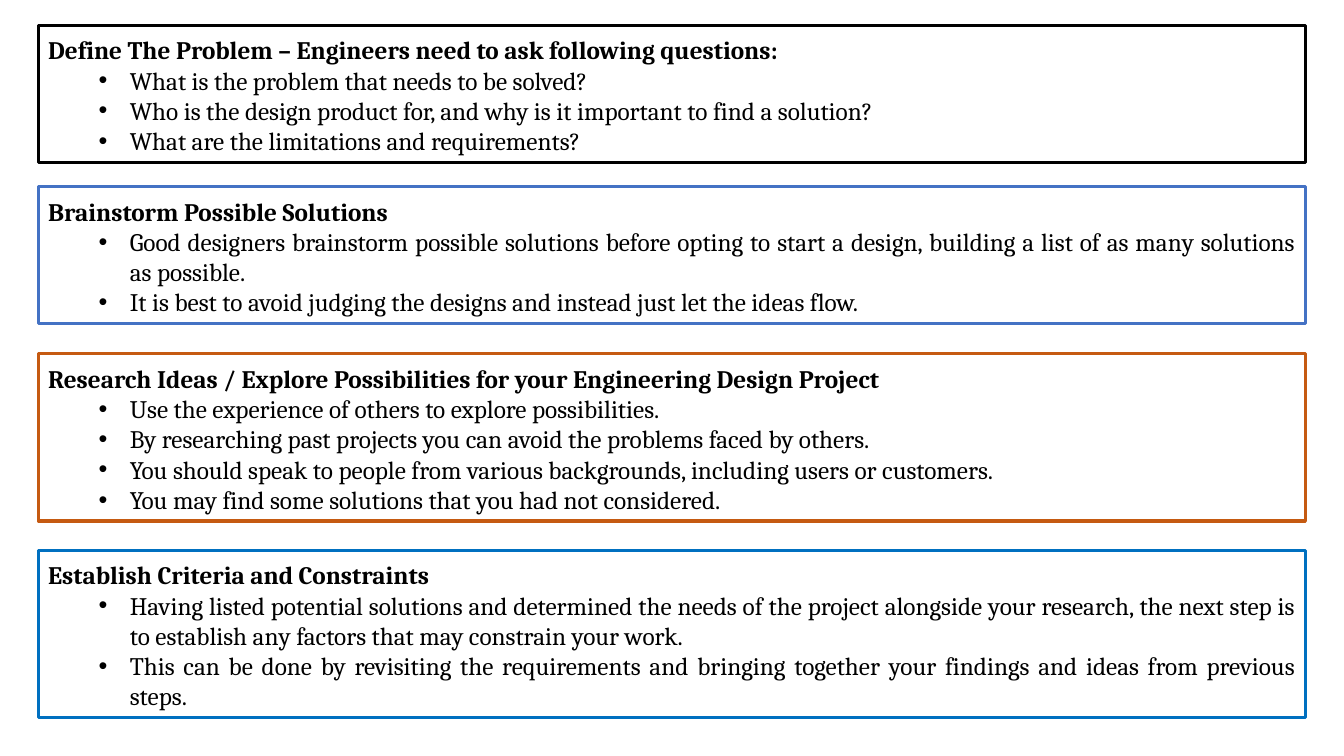
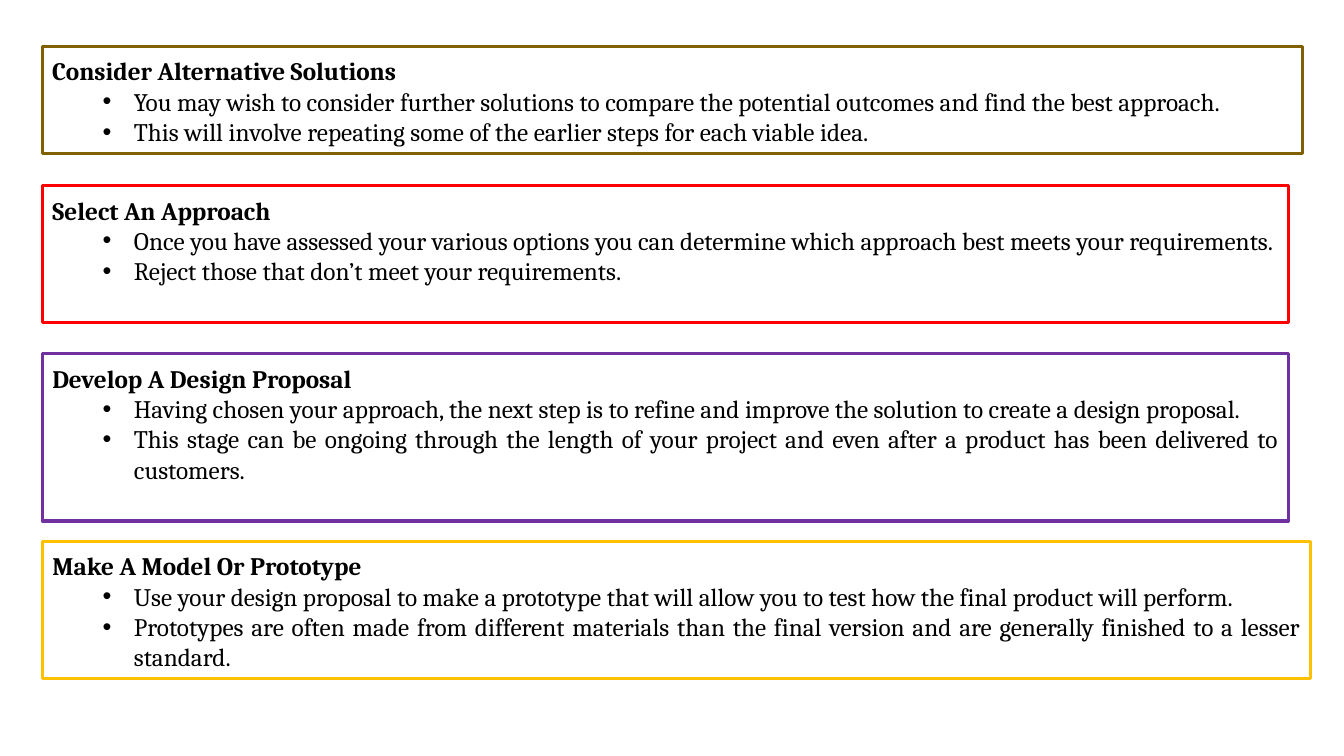
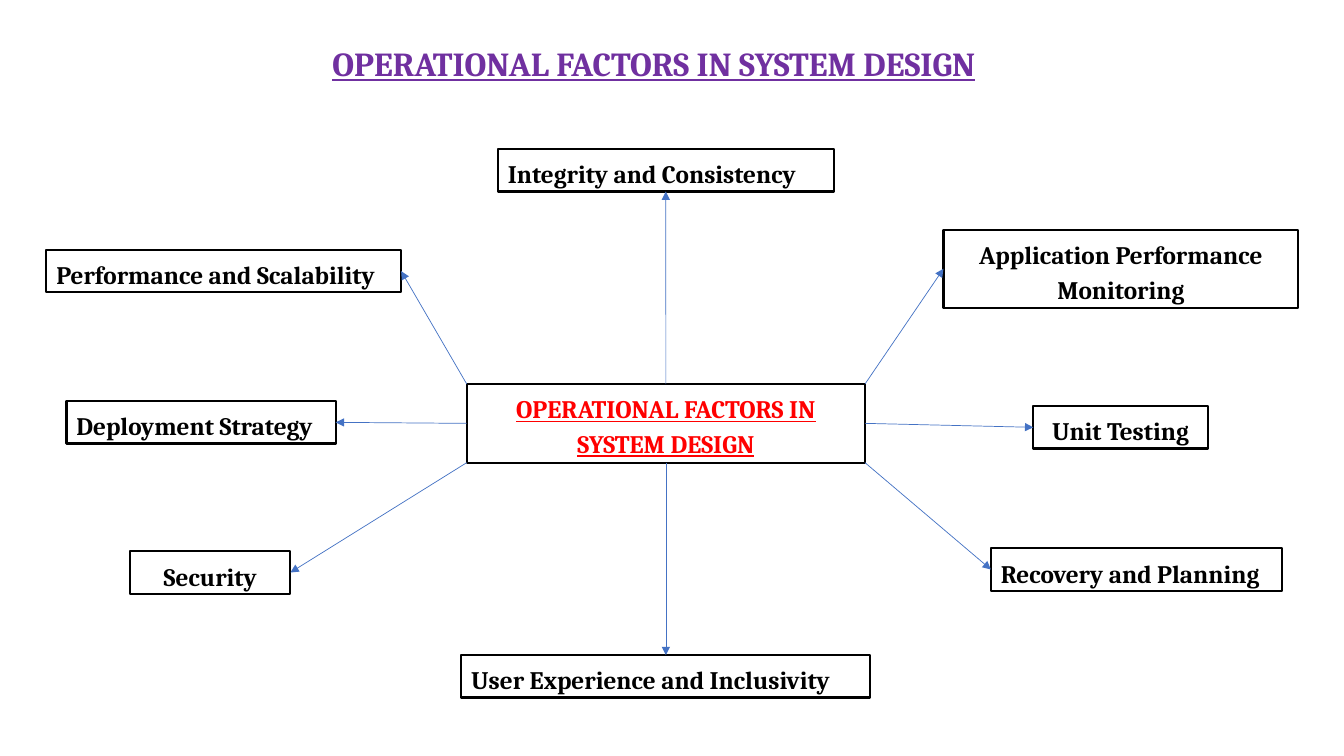
from lxml import etree
from pptx import Presentation
from pptx.dml.color import RGBColor
from pptx.enum.shapes import MSO_CONNECTOR, MSO_SHAPE
from pptx.enum.text import MSO_ANCHOR, MSO_AUTO_SIZE, PP_ALIGN
from pptx.oxml.ns import qn
from pptx.util import Inches, Pt

RECT, STRAIGHT = MSO_SHAPE.RECTANGLE, MSO_CONNECTOR.STRAIGHT
TOP, GROW = MSO_ANCHOR.TOP, MSO_AUTO_SIZE.SHAPE_TO_FIT_TEXT
CENTER, JUSTIFY = PP_ALIGN.CENTER, PP_ALIGN.JUSTIFY

COLORS = {
    "black": "000000", "blue": "4472C4", "orange": "C55A11",
    "azure": "0070C0", "olive": "806000", "red": "FF0000",
    "purple": "7030A0", "gold": "FFC000",
}
HEADING = {"line_spacing": 1.15, "space_before": Pt(10), "alignment": JUSTIFY}
BULLET = {"level": 1, "alignment": JUSTIFY}
LABEL = {"line_spacing": 1.15, "space_before": Pt(12.5), "space_after": Pt(6.2)}

# Positions and sizes are percentages of the slide's width and height.
# Step: top, width, text lines, colour, heading, bullets
DEFINE_LEFT = 2.85
DEFINE_STEPS = [
    (3.33, 94.28, 4, "black",
     "Define The Problem – Engineers need to ask following questions:",
     ["What is the problem that needs to be solved?",
      "Who is the design product for, and why is it important to find a solution?",
      "What are the limitations and requirements?"]),
    (24.67, 94.28, 4, "blue", "Brainstorm Possible Solutions",
     ["Good designers brainstorm possible solutions before opting to start a design, "
      "building a list of as many solutions as possible.",
      "It is best to avoid judging the designs and instead just let the ideas flow."]),
    (46.8, 94.28, 5, "orange",
     "Research Ideas / Explore Possibilities for your Engineering Design Project",
     ["Use the experience of others to explore possibilities.",
      "By researching past projects you can avoid the problems faced by others.",
      "You should speak to people from various backgrounds, including users or customers.",
      "You may find some solutions that you had not considered."]),
    (72.8, 94.28, 5, "azure", "Establish Criteria and Constraints",
     ["Having listed potential solutions and determined the needs of the project "
      "alongside your research, the next step is to establish any factors that may "
      "constrain your work.",
      "This can be done by revisiting the requirements and bringing together your "
      "findings and ideas from previous steps."]),
]
DEVELOP_LEFT = 3.15
DEVELOP_STEPS = [
    (6.13, 93.75, 3, "olive", "Consider Alternative Solutions",
     ["You may wish to consider further solutions to compare the potential outcomes "
      "and find the best approach.",
      "This will involve repeating some of the earlier steps for each viable idea."]),
    (24.53, 92.7, 4, "red", "Select An Approach",
     ["Once you have assessed your various options you can determine which approach "
      "best meets your requirements.",
      "Reject those that don’t meet your requirements."]),
    (46.8, 92.7, 5, "purple", "Develop A Design Proposal",
     ["Having chosen your approach, the next step is to refine and improve the "
      "solution to create a design proposal.",
      "This stage can be ongoing through the length of your project and even after a "
      "product has been delivered to customers."]),
    (71.6, 94.35, 4, "gold", "Make A Model Or Prototype",
     ["Use your design proposal to make a prototype that will allow you to test how "
      "the final product will perform.",
      "Prototypes are often made from different materials than the final version and "
      "are generally finished to a lesser standard."]),
]

TOPIC = "OPERATIONAL FACTORS IN SYSTEM DESIGN"
TITLE_BOX = (0, 4.27, 97.28, 7.2)
HUB_BOX = (34.73, 50.8, 29.63, 10.4)
ONE_LINE, TWO_LINES = 5.6, 10.3
# Factor: text, box, alignment, point of the hub (shares of its size) its arrow leaves
FACTORS = [
    ("Integrity and Consistency", (37.05, 19.73, 24.98, ONE_LINE), JUSTIFY, (0.5, 0)),
    ("Performance and Scalability", (3.45, 33.07, 26.4, ONE_LINE), JUSTIFY, (0, 0)),
    ("Deployment Strategy", (4.95, 53.07, 20.03, ONE_LINE), JUSTIFY, (0, 0.5)),
    ("Security", (9.68, 72.93, 11.93, ONE_LINE), CENTER, (0, 1)),
    ("User Experience and Inclusivity", (34.32, 86.67, 30.45, ONE_LINE), JUSTIFY, (0.5, 1)),
    ("Recovery and Planning", (73.73, 72.53, 21.68, ONE_LINE), JUSTIFY, (1, 1)),
    ("Unit Testing", (76.88, 53.73, 12.98, ONE_LINE), CENTER, (1, 0.5)),
    ("Application Performance Monitoring", (70.2, 30.4, 26.4, TWO_LINES), CENTER, (1, 0)),
]


def rgb(name):
    return RGBColor.from_string(COLORS[name])


def point(box, share):
    """Return the point lying at the given shares of a box's width and height."""
    left, top, width, height = box
    return left + share[0] * width, top + share[1] * height


class Deck:
    """Holds the presentation, its style and the shapes being drawn on."""

    font = "Cambria"
    size = 18

    def __init__(self):
        self.prs = Presentation()
        self.prs.slide_width, self.prs.slide_height = Inches(13.33), Inches(7.5)
        self.shapes = None

    def new_slide(self):
        s = self.prs.slides.add_slide(self.prs.slide_layouts[6])
        self.shapes = s.shapes

    def start_group(self):
        self.shapes = self.shapes.add_group_shape().shapes

    def place(self, *percents):
        """Turn alternating horizontal and vertical percentages into lengths."""
        sides = (self.prs.slide_width, self.prs.slide_height)
        return [int(sides[i % 2] * v / 100) for i, v in enumerate(percents)]

    def setup_frame(self, sp):
        tf = sp.text_frame
        for name, value in {"word_wrap": True, "auto_size": GROW,
                            "vertical_anchor": TOP}.items():
            setattr(tf, name, value)
        return tf

    def frame(self, box, color, weight):
        """Add an outlined, unfilled rectangle and return its text frame."""
        sp = self.shapes.add_shape(RECT, *self.place(*box))
        sp.shadow.inherit = False
        sp.fill.background()
        sp.line.color.rgb = rgb(color)
        sp.line.width = Pt(weight)
        return self.setup_frame(sp)

    def add_text(self, p, text, layout, color="black", **font):
        for name, value in layout.items():
            setattr(p, name, value)
        r = p.add_run()
        r.text = text
        style = {"name": self.font, "size": Pt(self.size), "bold": True, **font}
        for name, value in style.items():
            setattr(r.font, name, value)
        r.font.color.rgb = rgb(color)

    def bullet(self, p, text):
        self.add_text(p, text, BULLET, bold=False)
        pPr = p._p.get_or_add_pPr()
        pPr.set("marL", str(Inches(0.81)))
        pPr.set("indent", str(Inches(-0.31)))
        etree.SubElement(pPr, qn("a:buFont"), typeface="Arial")
        etree.SubElement(pPr, qn("a:buChar"), char="•")

    def step(self, left, top, width, lines, color, heading, bullets):
        tf = self.frame((left, top, width, 2.13 + 4 * lines), color, 2.25)
        self.add_text(tf.paragraphs[0], heading, HEADING)
        for text in bullets:
            self.bullet(tf.add_paragraph(), text)

    def label(self, text, box, align, **style):
        tf = self.frame(box, "black", 1.5)
        self.add_text(tf.paragraphs[0], text, {**LABEL, "alignment": align}, **style)

    def title(self, text):
        tf = self.setup_frame(self.shapes.add_textbox(*self.place(*TITLE_BOX)))
        self.add_text(tf.paragraphs[0], text, {**LABEL, "alignment": CENTER},
                      "purple", size=Pt(24), underline=True)

    def arrow(self, start, end):
        cx = self.shapes.add_connector(STRAIGHT, *self.place(*start, *end))
        cx.line.color.rgb = rgb("blue")
        cx.line.width = Pt(0.5)
        spPr = cx._element.spPr
        etree.SubElement(spPr.find(qn("a:ln")), qn("a:tailEnd"), type="triangle")
        etree.SubElement(spPr, qn("a:effectLst"))


def steps_slide(deck, left, steps):
    deck.new_slide()
    for step in steps:
        deck.step(left, *step)


def factors_slide(deck):
    deck.new_slide()
    slide_shapes = deck.shapes
    deck.start_group()
    deck.label(TOPIC, HUB_BOX, CENTER, color="red", underline=True)
    for text, box, align, _ in FACTORS:
        deck.label(text, box, align)
    for _, box, _, (across, down) in FACTORS:
        facing = (1 - across, 1 - down if across == 0.5 else 0.5)
        deck.arrow(point(HUB_BOX, (across, down)), point(box, facing))
    deck.shapes = slide_shapes
    deck.title(TOPIC)


def main():
    deck = Deck()
    steps_slide(deck, DEFINE_LEFT, DEFINE_STEPS)
    steps_slide(deck, DEVELOP_LEFT, DEVELOP_STEPS)
    factors_slide(deck)
    deck.prs.save("out.pptx")


if __name__ == "__main__":
    main()
